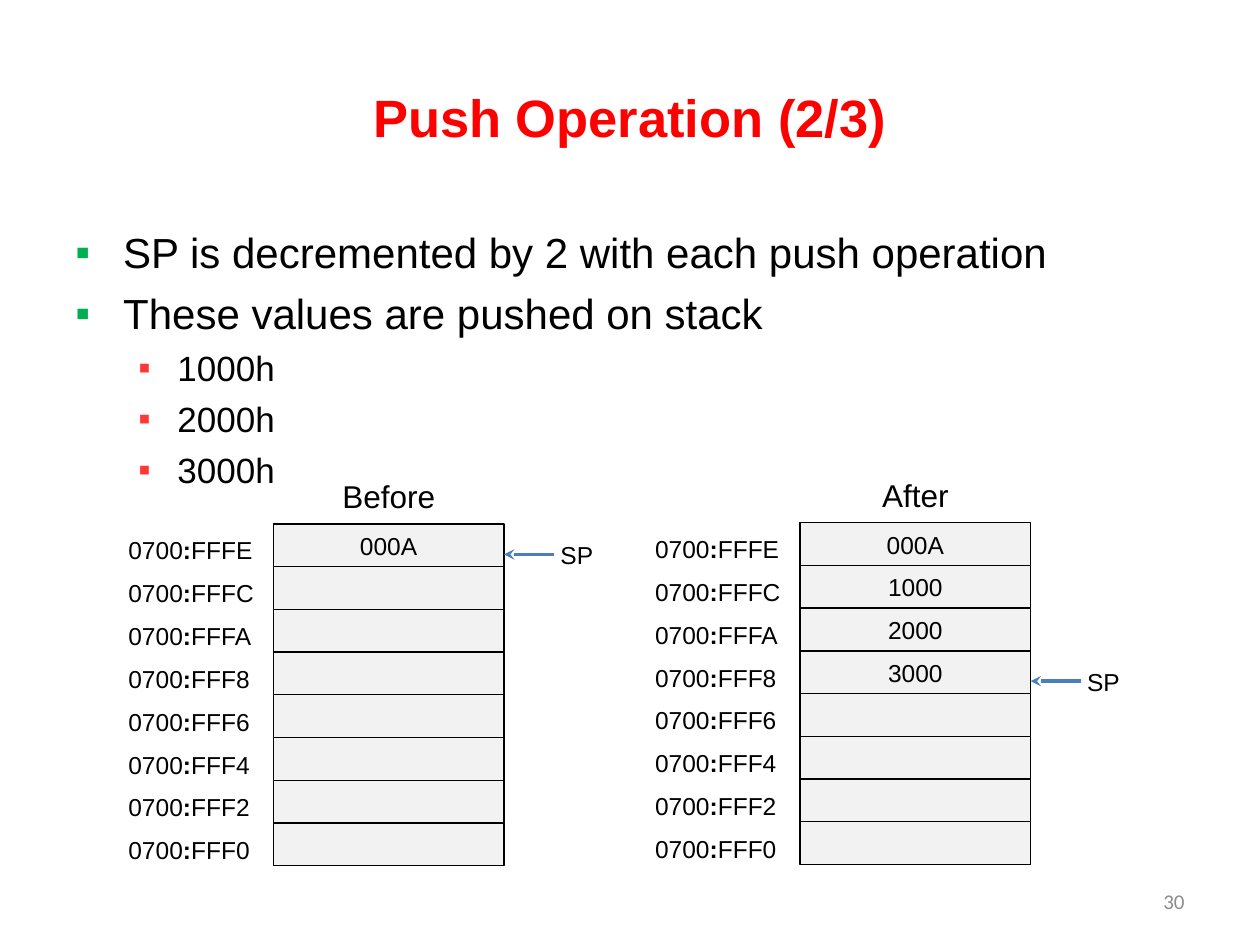
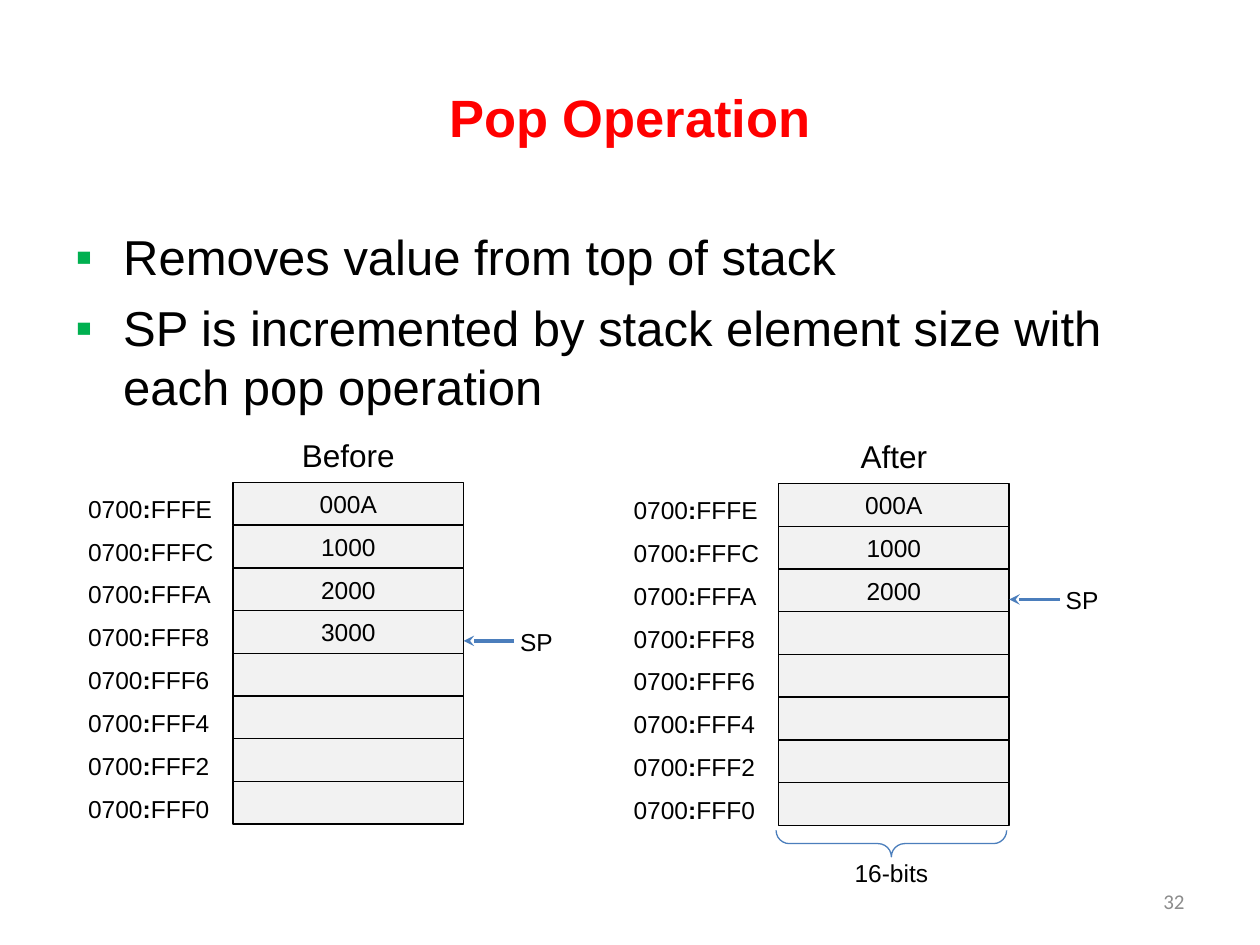
from lxml.etree import SubElement
from pptx import Presentation
from pptx.dml.color import RGBColor
from pptx.enum.shapes import MSO_CONNECTOR as Conn, MSO_SHAPE as Shape
from pptx.enum.text import MSO_ANCHOR as Anchor, PP_ALIGN as Align
from pptx.oxml.ns import qn
from pptx.util import Inches, Pt

COLORS = {"title": "FF0000", "text": "000000", "number": "8C8C8C", "cell": "F2F2F2",
          "border": "000000", "arrow": "4B7EBC", "bullet": "00B050", "subbullet": "FF3737"}
ADDRESSES = ["FFFE", "FFFC", "FFFA", "FFF8", "FFF6", "FFF4", "FFF2", "FFF0"]
SLIDES = [
    {"title": "Push Operation (2/3)", "number": "30", "sizes": (24, 20),
     "body": [(0, "SP is decremented by 2 with each push operation"),
              (0, "These values are pushed on stack"),
              (1, "1000h"), (1, "2000h"), (1, "3000h")],
     "stacks": [{"name": "Before", "at": (2.17, 4.16), "values": ["000A"]},
                {"name": "After", "at": (6.35, 4.15),
                 "values": ["000A", "1000", "2000", "3000"]}]},
    {"title": "Pop Operation", "number": "32", "sizes": (28, 24),
     "body": [(0, "Removes value from top of stack"),
              (0, "SP is incremented by stack element size with each pop operation")],
     "stacks": [{"name": "Before", "at": (1.85, 3.83),
                 "values": ["000A", "1000", "2000", "3000"]},
                {"name": "After", "at": (6.18, 3.84),
                 "values": ["000A", "1000", "2000"], "width": "16-bits"}]},
]
LEVELS = [(0.38, -0.38, "bullet"), (0.81, -0.31, "subbullet")]
MARGIN, CONTENT_W = 0.5, 9
CELL_W, STACK_H, LABEL_W, LABEL_H = 1.83, 2.71, 1.25, 0.34
ROW_H = STACK_H / len(ADDRESSES)
ARROW_LEN, ARROW_DROP = 0.4, 0.24
BRACE_H, BRACE_GAP = 0.21, 0.04


def rgb(name):
    return RGBColor.from_string(COLORS[name])


def add_run(p, text, size, color="text", **font):
    r = p.add_run()
    r.text = text
    r.font.color.rgb = rgb(color)
    for key, value in {"size": Pt(size), "name": "Arial", **font}.items():
        setattr(r.font, key, value)


def add_box(s, box, align=Align.LEFT, anchor=Anchor.TOP):
    tf = s.shapes.add_textbox(*map(Inches, box)).text_frame
    tf.word_wrap, tf.vertical_anchor = True, anchor
    tf.paragraphs[0].alignment = align
    return tf


def add_label(s, box, text, size, align=Align.LEFT, anchor=Anchor.TOP, **font):
    add_run(add_box(s, box, align, anchor).paragraphs[0], text, size, **font)


def add_body(s, items, sizes):
    tf = add_box(s, (MARGIN, 1.75, CONTENT_W, 4.95))
    for i, (level, text) in enumerate(items):
        p = tf.add_paragraph() if i else tf.paragraphs[0]
        left, indent, color = LEVELS[level]
        p.level = level
        p.space_before = Pt(sizes[level] / 4 if i else 0)
        pPr = p._p.get_or_add_pPr()
        pPr.set("marL", str(Inches(left)))
        pPr.set("indent", str(Inches(indent)))
        SubElement(SubElement(pPr, qn("a:buClr")), qn("a:srgbClr"), val=COLORS[color])
        SubElement(pPr, qn("a:buFont"), typeface="Arial")
        SubElement(pPr, qn("a:buChar"), char="▪")
        add_run(p, text, sizes[level])


def add_cell(s, x, y, value):
    sp = s.shapes.add_shape(Shape.RECTANGLE, *map(Inches, (x, y, CELL_W, ROW_H)))
    sp.shadow.inherit = False
    sp.fill.solid()
    sp.fill.fore_color.rgb = rgb("cell")
    sp.line.color.rgb, sp.line.width = rgb("border"), Pt(0.75)
    if value:
        tf = sp.text_frame
        tf.margin_top = tf.margin_bottom = 0
        tf.vertical_anchor = Anchor.MIDDLE
        tf.paragraphs[0].alignment = Align.CENTER
        add_run(tf.paragraphs[0], value, 14)


def add_pointer(s, x, y):
    line = s.shapes.add_connector(
        Conn.STRAIGHT, *map(Inches, (x + ARROW_LEN, y, x, y)))
    line.line.color.rgb, line.line.width = rgb("arrow"), Pt(2)
    SubElement(line.line._get_or_add_ln(), qn("a:tailEnd"), type="stealth")
    SubElement(line._element.spPr, qn("a:effectLst"))
    add_label(s, (x + ARROW_LEN - 0.05, y - 0.16, 0.6, LABEL_H), "SP", 14)


def add_brace(s, x, y, text):
    left = x + (CELL_W - BRACE_H) / 2 - 0.02
    top = y + BRACE_GAP - (CELL_W - BRACE_H) / 2
    sp = s.shapes.add_shape(Shape.LEFT_BRACE, *map(Inches, (left, top, BRACE_H, CELL_W)))
    sp.rotation = 270
    sp.adjustments[0] = 0.5
    sp.shadow.inherit = False
    sp.fill.background()
    sp.line.color.rgb, sp.line.width = rgb("arrow"), Pt(0.75)
    add_label(s, (x - 0.02, y + BRACE_H, CELL_W, LABEL_H), text, 14, Align.CENTER)


def add_stack(s, stack):
    x, y = stack["at"]
    values = stack["values"]
    add_label(s, (x, y - 0.42, CELL_W, 0.4), stack["name"], 18, Align.CENTER)
    for i, address in enumerate(ADDRESSES):
        add_cell(s, x, y + i * ROW_H, values[i] if i < len(values) else "")
        tf = add_box(s, (x - LABEL_W, y + 0.04 + i * LABEL_H, LABEL_W, LABEL_H))
        for text, bold in (("0700", False), (":", True), (address, False)):
            add_run(tf.paragraphs[0], text, 14, bold=bold)
    add_pointer(s, x + CELL_W, y + (len(values) - 1) * ROW_H + ARROW_DROP)
    if "width" in stack:
        add_brace(s, x, y + STACK_H, stack["width"])


def main():
    prs = Presentation()
    prs.slide_width, prs.slide_height = Inches(10), Inches(7.5)
    for content in SLIDES:
        s = prs.slides.add_slide(prs.slide_layouts[6])
        add_label(s, (MARGIN, 0.3, CONTENT_W, 1.25), content["title"], 30,
                  Align.CENTER, Anchor.MIDDLE, color="title", bold=True)
        add_body(s, content["body"], content["sizes"])
        for stack in content["stacks"]:
            add_stack(s, stack)
        add_label(s, (7.17, 6.95, 2.33, 0.4), content["number"], 12,
                  Align.RIGHT, Anchor.MIDDLE, color="number", name="Calibri")
    prs.save("out.pptx")


if __name__ == "__main__":
    main()
